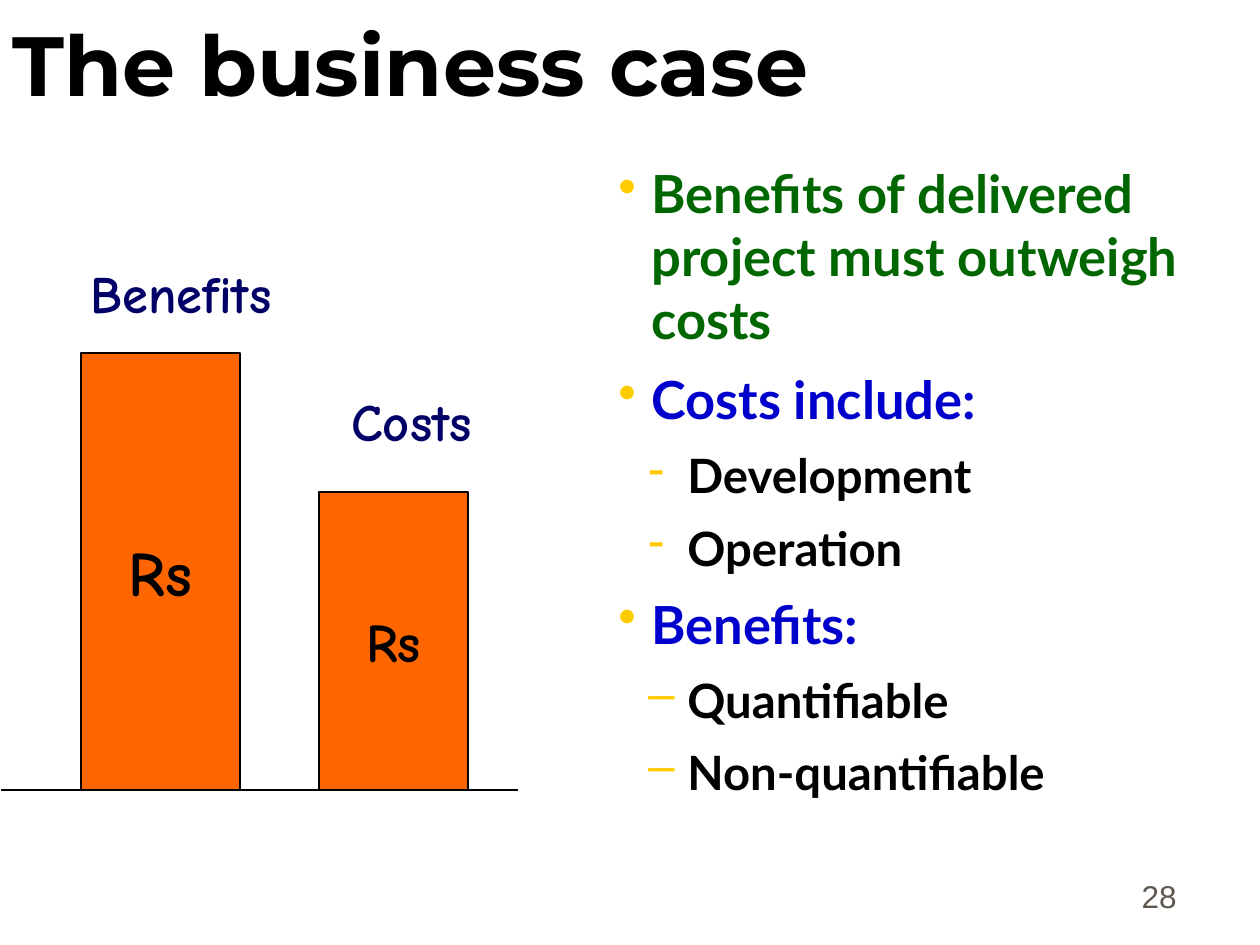
import pptx
import pptx.util
import pptx.dml.color
import pptx.enum.shapes
import pptx.enum.text
import pptx.oxml.ns
import lxml.etree

SCALE = 914400 / 126
ALIGN = pptx.enum.text.PP_ALIGN
ANCHOR = pptx.enum.text.MSO_ANCHOR
HUES = {
    "black": "000000",
    "bar": "FF6600",
    "label": "000066",
    "green": "006600",
    "blue": "0000CC",
    "bullet": "FFCC00",
    "number": "5E574E",
}


def px(count):
    return pptx.util.Emu(round(count * SCALE))


def color(name):
    return pptx.dml.color.RGBColor.from_string(HUES[name])


def style(para, font, size, hue, bold=True):
    for run in para.runs:
        run.font.name = font
        run.font.size = pptx.util.Pt(size)
        run.font.bold = bold
        run.font.color.rgb = color(hue)


def add_text(slide, box, anchor=ANCHOR.TOP, wrap=True):
    frame = slide.shapes.add_textbox(*map(px, box)).text_frame
    frame.word_wrap = wrap
    frame.vertical_anchor = anchor
    return frame


def add_title(slide, box, text):
    frame = add_text(slide, box, ANCHOR.MIDDLE)
    frame.text = text
    style(frame.paragraphs[0], "Montserrat", 48, "black")


def add_number(slide, box, text):
    frame = add_text(slide, box, ANCHOR.BOTTOM)
    frame.text = text
    para = frame.paragraphs[0]
    para.alignment = ALIGN.RIGHT
    style(para, "Arial", 18, "number", False)


def add_mark(para, mark, left, hang):
    props = para._p.get_or_add_pPr()
    props.set("marL", str(px(left)))
    props.set("indent", str(-px(hang)))
    qn = pptx.oxml.ns.qn
    tint = lxml.etree.SubElement(props, qn("a:buClr"))
    lxml.etree.SubElement(tint, qn("a:srgbClr")).set("val", HUES["bullet"])
    lxml.etree.SubElement(props, qn("a:buChar")).set("char", mark)


def add_points(slide, box, points):
    levels = [(30, 4.9, 33, 33), (27, 4.4, 69, 39)]
    frame = add_text(slide, box)
    frame.text = "\n".join(text for text, *_ in points)
    for para, (_, level, mark, hue) in zip(frame.paragraphs, points):
        size, gap, left, hang = levels[level]
        para.level = level
        para.space_before = para.space_after = pptx.util.Pt(gap)
        add_mark(para, mark, left, hang)
        style(para, "Lato", size, hue)


def add_bar(slide, box, text, size):
    kind = pptx.enum.shapes.MSO_SHAPE.RECTANGLE
    bar = slide.shapes.add_shape(kind, *map(px, box))
    bar.shadow.inherit = False
    bar.fill.solid()
    bar.fill.fore_color.rgb = color("bar")
    bar.line.color.rgb = color("black")
    bar.line.width = pptx.util.Pt(0.75)
    frame = bar.text_frame
    frame.word_wrap = False
    frame.vertical_anchor = ANCHOR.MIDDLE
    frame.text = text
    para = frame.paragraphs[0]
    para.alignment = ALIGN.CENTER
    style(para, "Comic Neue", size, "black")


def add_label(slide, box, text):
    frame = add_text(slide, box, wrap=False)
    frame.auto_size = pptx.enum.text.MSO_AUTO_SIZE.SHAPE_TO_FIT_TEXT
    frame.text = text
    style(frame.paragraphs[0], "Comic Neue", 30, "label")


def add_base(slide, left, right, level):
    kind = pptx.enum.shapes.MSO_CONNECTOR.STRAIGHT
    base = slide.shapes.add_connector(kind, px(left), px(level), px(right), px(level))
    base.line.color.rgb = color("black")
    base.line.width = pptx.util.Pt(0.75)
    props = base._element.spPr
    lxml.etree.SubElement(props, pptx.oxml.ns.qn("a:effectLst"))


def add_scale(slide, box):
    left, top, width, height = box
    floor = top + height
    for start, wide, tall, size in [(80, 159, 437, 36), (318, 149, 298, 31)]:
        add_bar(slide, (left + start, floor - tall, wide, tall), "Rs", size)
    add_base(slide, left, left + width, floor)
    for text, start, down, wide in [("Benefits", 77, 0, 207), ("Costs", 338, 128, 146)]:
        add_label(slide, (left + start, top + down, wide, 76), text)


def main():
    deck = pptx.Presentation()
    deck.slide_width, deck.slide_height = px(1260), px(945)
    slide = deck.slides.add_slide(deck.slide_layouts[6])
    add_title(slide, (0, -23, 969, 171), "The business case")
    add_points(slide, (606, 155, 654, 714), [
        ("Benefits of delivered project must outweigh costs", 0, "•", "green"),
        ("Costs include:", 0, "•", "blue"),
        ("Development", 1, "-", "black"),
        ("Operation", 1, "-", "black"),
        ("Benefits:", 0, "•", "blue"),
        ("Quantifiable", 1, "–", "black"),
        ("Non-quantifiable", 1, "–", "black"),
    ])
    add_scale(slide, (1, 255, 517, 535))
    add_number(slide, (927, 858, 262, 63), "28")
    deck.save("out.pptx")


if __name__ == "__main__":
    main()
